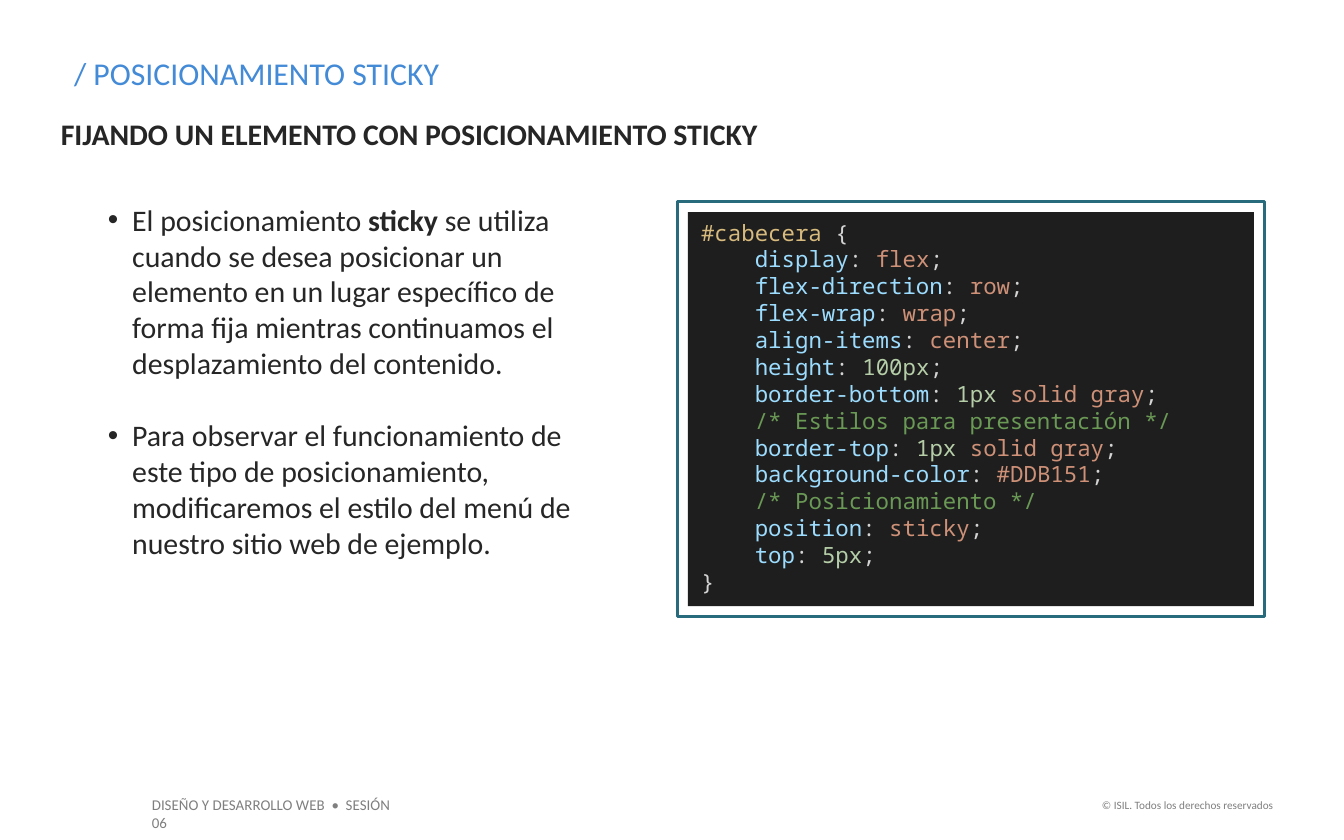
from dataclasses import dataclass

from lxml.etree import SubElement
from pptx import Presentation
from pptx.dml.color import RGBColor
from pptx.enum.shapes import MSO_SHAPE as Preset
from pptx.enum.text import MSO_ANCHOR as Anchor, PP_ALIGN as Align
from pptx.oxml.ns import qn
from pptx.util import Cm, Pt


@dataclass(frozen=True)
class Theme:
    font: str = "Calibri"
    code_font: str = "Noto Sans Mono"
    ink: str = "262626"
    accent: str = "438AD7"
    muted: str = "7F7F7F"
    frame: str = "276B7D"
    paper: str = "FFFFFF"
    editor: str = "1E1E1E"
    selector: str = "D7BA7D"
    punctuation: str = "D4D4D4"
    property: str = "9CDCFE"
    keyword: str = "CE9178"
    number: str = "B5CEA8"
    comment: str = "6A9955"
    title_size: float = 17
    body_size: float = 16
    code_size: float = 12
    code_leading: float = 14.4
    session_size: float = 8
    rights_size: float = 6


@dataclass(frozen=True)
class Box:
    """A rectangle in centimetres."""
    left: float
    top: float
    width: float
    height: float

    def inset(self, gap):
        return Box(self.left + gap, self.top + gap,
                   self.width - 2 * gap, self.height - 2 * gap)

    def lengths(self):
        return [Cm(side) for side in (self.left, self.top, self.width, self.height)]


THEME = Theme()

BULLETS = [
    [("El posicionamiento ", False), ("sticky", True),
     (" se utiliza cuando se desea posicionar un elemento en un lugar específico "
      "de forma fija mientras continuamos el desplazamiento del contenido.", False)],
    [("Para observar el funcionamiento de este tipo de posicionamiento, "
      "modificaremos el estilo del menú de nuestro sitio web de ejemplo.", False)],
]

CODE = """\
#cabecera {
    display: flex;
    flex-direction: row;
    flex-wrap: wrap;
    align-items: center;
    height: 100px;
    border-bottom: 1px solid gray;
    /* Estilos para presentación */
    border-top: 1px solid gray;
    background-color: #DDB151;
    /* Posicionamiento */
    position: sticky;
    top: 5px;
}"""


def add_run(paragraph, text, size, color, bold=False, font=THEME.font):
    run = paragraph.add_run()
    run.text = text
    run.font.name = font
    run.font.size = Pt(size)
    run.font.bold = bold
    run.font.color.rgb = RGBColor.from_string(color)


def add_text_frame(slide, box):
    frame = slide.shapes.add_textbox(*box.lengths()).text_frame
    frame.word_wrap = True
    return frame


def add_line(slide, box, text, size, color, bold=False, align=Align.LEFT):
    paragraph = add_text_frame(slide, box).paragraphs[0]
    paragraph.alignment = align
    add_run(paragraph, text, size, color, bold)


def add_rectangle(slide, box, fill, line=None):
    shape = slide.shapes.add_shape(Preset.RECTANGLE, *box.lengths())
    shape.shadow.inherit = False
    shape.fill.solid()
    shape.fill.fore_color.rgb = RGBColor.from_string(fill)
    if line:
        shape.line.color.rgb = RGBColor.from_string(line)
        shape.line.width = Pt(1.5)
    else:
        shape.line.fill.background()
    return shape


def set_bullet(paragraph):
    properties = paragraph._p.get_or_add_pPr()
    properties.set("marL", str(Cm(0.5)))
    properties.set("indent", str(-Cm(0.46)))
    color = SubElement(properties, qn("a:buClr"))
    SubElement(color, qn("a:srgbClr"), val=THEME.ink)
    SubElement(properties, qn("a:buFont"), typeface="Arial")
    SubElement(properties, qn("a:buChar"), char="•")


def add_paragraph(frame, index):
    return frame.add_paragraph() if index else frame.paragraphs[0]


def add_headings(slide, box):
    add_line(slide, Box(box.left + 0.25, box.top, 20, 1),
             "/ POSICIONAMIENTO STICKY", THEME.title_size, THEME.accent)
    add_line(slide, Box(box.left, box.top + 1.16, box.width, 0.95),
             "FIJANDO UN ELEMENTO CON POSICIONAMIENTO STICKY",
             THEME.body_size, THEME.ink, bold=True)


def add_explanation(slide, box):
    frame = add_text_frame(slide, box)
    frame.margin_left = frame.margin_right = frame.margin_top = frame.margin_bottom = 0
    for index, parts in enumerate(BULLETS):
        paragraph = add_paragraph(frame, index)
        set_bullet(paragraph)
        if index:
            paragraph.space_before = Pt(19.5)
        for text, bold in parts:
            add_run(paragraph, text, THEME.body_size, THEME.ink, bold)


def color_tokens(line):
    """Split one line of CSS into (text, colour) pairs."""
    code = line.lstrip()
    indent = line[:len(line) - len(code)]
    if indent:
        yield indent, THEME.punctuation
    if code.startswith("/*"):
        yield code, THEME.comment
    elif code.endswith("{"):
        yield code[:-2], THEME.selector
        yield " {", THEME.punctuation
    elif ": " in code:
        name, value = code.rstrip(";").split(": ")
        yield name, THEME.property
        yield ": ", THEME.punctuation
        if value[0].isdigit():
            number, space, value = value.partition(" ")
            yield number + space, THEME.number
        if value:
            yield value, THEME.keyword
        yield ";", THEME.punctuation
    else:
        yield code, THEME.punctuation


def add_code_panel(slide, box):
    add_rectangle(slide, box, THEME.paper, THEME.frame)
    frame = add_rectangle(slide, box.inset(0.2), THEME.editor).text_frame
    frame.word_wrap = True
    frame.vertical_anchor = Anchor.TOP
    for index, line in enumerate(CODE.splitlines()):
        paragraph = add_paragraph(frame, index)
        paragraph.alignment = Align.LEFT
        paragraph.line_spacing = Pt(THEME.code_leading)
        for text, color in color_tokens(line):
            add_run(paragraph, text, THEME.code_size, color, font=THEME.code_font)


def add_footer(slide, box):
    add_line(slide, Box(box.left, box.top, 5.36, box.height),
             "DISEÑO Y DESARROLLO WEB  •  SESIÓN 06", THEME.session_size, THEME.muted)
    rights_width = 3.81
    add_line(slide, Box(box.left + box.width - rights_width, box.top + 0.05, rights_width, 0.5),
             "© ISIL. Todos los derechos reservados", THEME.rights_size, THEME.muted,
             align=Align.RIGHT)


def main():
    presentation = Presentation()
    presentation.slide_width, presentation.slide_height = Cm(25.4), Cm(15.88)
    slide = presentation.slides.add_slide(presentation.slide_layouts[6])
    add_footer(slide, Box(2.62, 14.91, 21.69, 0.6))
    add_headings(slide, Box(0.9, 0.9, 15.2, 2.1))
    add_explanation(slide, Box(2, 3.81, 9.58, 6.83))
    add_code_panel(slide, Box(12.8, 3.81, 11.1, 7.85))
    presentation.save("out.pptx")


if __name__ == "__main__":
    main()
